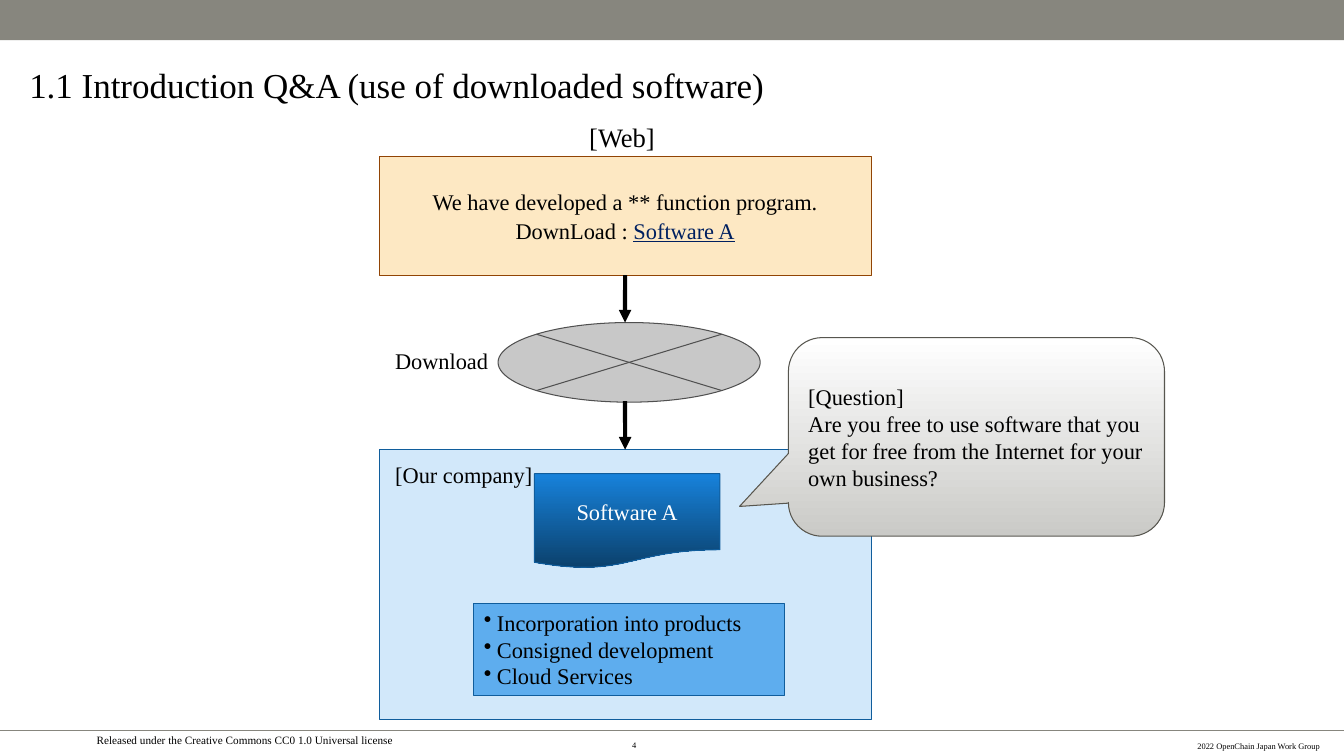
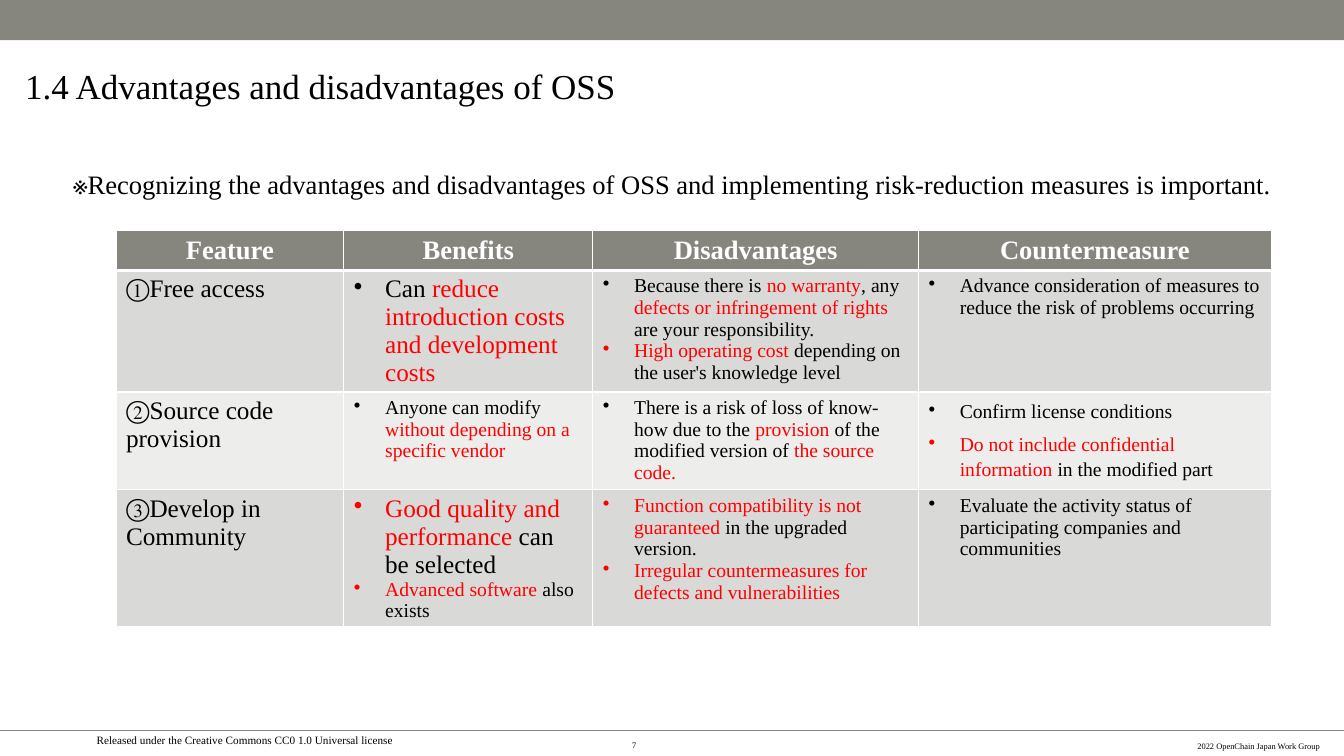
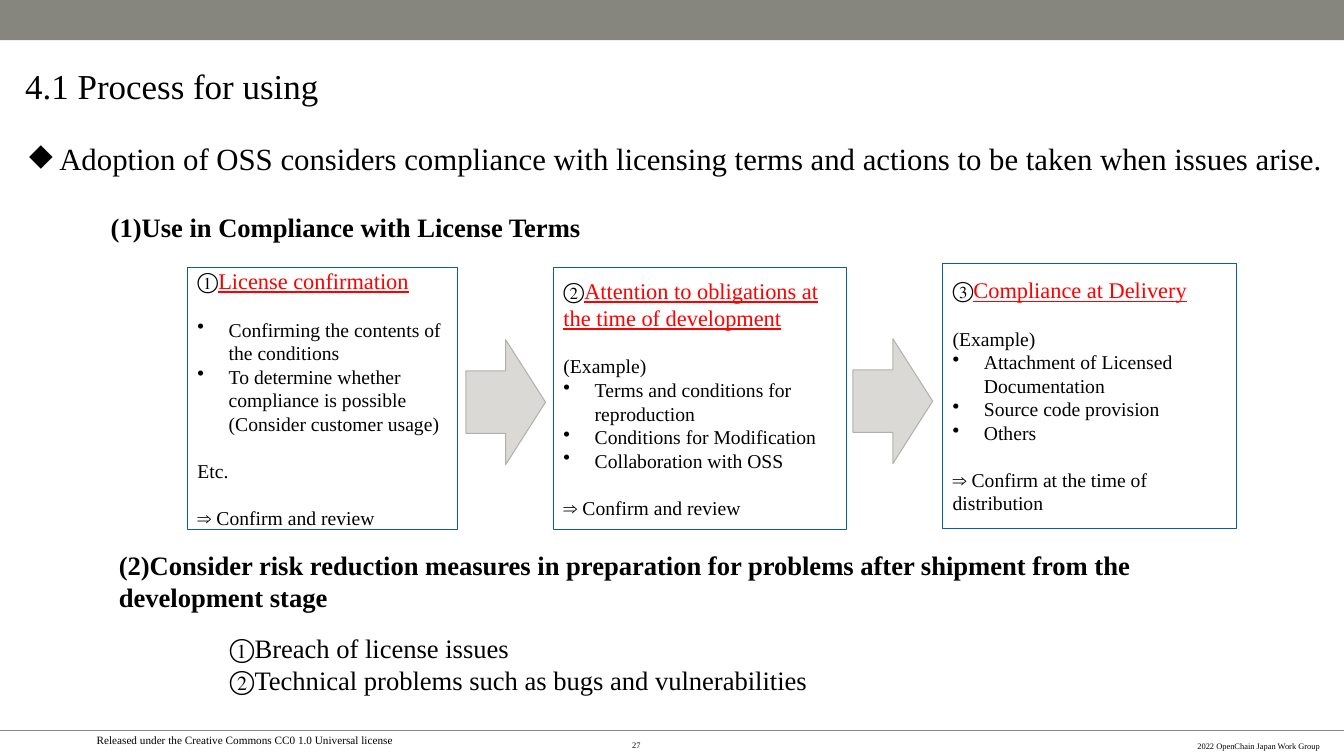
from lxml import etree
from pptx import Presentation
from pptx import util as u
from pptx.dml import color
from pptx.enum import shapes, text
from pptx.oxml import ns

# Shared look
FONT = "Times New Roman"
BLACK, WHITE, RED, NAVY = "000000", "FFFFFF", "FF0000", "002060"
OLIVE, BLUE = "87867E", "105D9C"
BAND = ("D9D9D8", "EDEDEC")
W, H = 13.33, 7.5
RULE_Y = 7.25
LINE_14 = 16.8  # one line of 14 pt text, used as a gap
KIND, ALIGN, ANCHOR = shapes.MSO_SHAPE, text.PP_ALIGN, text.MSO_ANCHOR

LICENSE = "Released under the Creative Commons CC0 1.0 Universal license"
CREDIT = "2022 OpenChain Japan Work Group"

# Content: "|" switches the accent colour on and off inside a paragraph.
# A paragraph is a string or (string, options).
TITLE_AT = (0.25, 0.47, 11.46, 0.76)
PAGES = [
    ("1.1 Introduction Q&A (use of downloaded software)", "4", (0.29, 0.52, 9.61, 0.63)),
    ("1.4 Advantages and disadvantages of OSS", "7", TITLE_AT),
    ("4.1 Process for using", "27", TITLE_AT),
]

USES = ["Incorporation into products", "Consigned development", "Cloud Services"]
QUESTION = [
    "[Question]",
    "Are you free to use software that you get for free from the Internet for your own business?",
]

NOTICE = ("※Recognizing the advantages and disadvantages of OSS and implementing "
          "risk-reduction measures is important.")
HEADERS = ["Feature", "Benefits", "Disadvantages", "Countermeasure"]
BIG = {"size": 18}
FEATURES = [
    (
        ["①Free access"],
        [("Can |reduce introduction costs and development costs", BIG)],
        ["Because there is |no warranty|, any |defects or infringement of rights |"
         "are your responsibility.",
         "|High operating cost |depending on the user's knowledge level"],
        ["Advance consideration of measures to reduce the risk of problems occurring"],
    ),
    (
        ["②Source code provision"],
        ["Anyone can modify |without depending on a specific vendor"],
        ["There is a risk of loss of know-how due to the |provision| of the modified "
         "version of |the source code."],
        [("Confirm license conditions", {"leading": 18}),
         ("|Do not include confidential information |in the modified part",
          {"leading": 18, "before": 6})],
    ),
    (
        ["③Develop in Community"],
        [("|Good quality and performance| can be selected", BIG),
         "|Advanced software |also exists"],
        ["|Function compatibility is not guaranteed |in the upgraded version.",
         "|Irregular countermeasures for defects and vulnerabilities"],
        ["Evaluate the activity status of participating companies and communities"],
    ),
]
COLUMNS = [2.26, 2.47, 3.23, 3.5]
ROWS = [0.39, 1.2, 0.97, 1.36]

ADOPTION = ("Adoption of OSS considers compliance with licensing terms and actions "
            "to be taken when issues arise.")
HEADINGS = [
    ((1, 2.02, 9.14, 0.47), "(1)Use in Compliance with License Terms"),
    ((1.08, 5.42, 11.65, 0.69), "(2)Consider risk reduction measures in preparation for "
                                "problems after shipment from the development stage"),
]
RISKS = ["①Breach of license issues", "②Technical problems such as bugs and vulnerabilities"]
HEAD = {"size": 16}
GAP = {"before": LINE_14}
ITEM = {"bullet": "•"}
STEPS = [
    ((1.86, 2.65, 2.68, 2.6), [
        ("①|License confirmation", HEAD),
        ("Confirming the contents of the conditions", ITEM | GAP),
        ("To determine whether compliance is possible (Consider customer usage)", ITEM),
        ("Etc.", GAP),
        ("⇒ Confirm and review", GAP)]),
    ((5.49, 2.65, 2.91, 2.6), [
        ("②|Attention to obligations at the time of development", HEAD),
        ("(Example)", GAP),
        ("Terms and conditions for reproduction", ITEM),
        ("Conditions for Modification", ITEM),
        ("Collaboration with OSS", ITEM),
        ("⇒ Confirm and review", GAP)]),
    ((9.35, 2.61, 2.91, 2.63), [
        ("③|Compliance at Delivery", HEAD),
        ("(Example)", GAP),
        ("Attachment of Licensed Documentation", ITEM),
        ("Source code provision", ITEM),
        ("Others", ITEM),
        ("⇒ Confirm at the time of distribution", GAP)]),
]
STEP_ARROWS = [(4.62, 3.37), (8.46, 3.36)]


# Helpers
def rgb(value):
    return color.RGBColor.from_string(value)


def inches(values):
    return [u.Inches(v) for v in values]


def add_bullet(p, char, indent):
    pPr = p._p.get_or_add_pPr()
    pPr.set("marL", str(u.Inches(indent)))
    pPr.set("indent", str(-u.Inches(indent)))
    etree.SubElement(pPr, ns.qn("a:buChar")).set("char", char)


def write(tf, paras, **defaults):
    """Fill a text frame; paragraph options override the defaults."""
    for i, para in enumerate(paras):
        words, own = (para, {}) if isinstance(para, str) else para
        o = defaults | own
        p = tf.paragraphs[0] if i == 0 else tf.add_paragraph()
        p.alignment = o.get("align", ALIGN.LEFT)
        if o.get("bullet"):
            add_bullet(p, o["bullet"], o.get("indent", 0.31))
        if i and "before" in o:
            p.space_before = u.Pt(o["before"])
        if "leading" in o:
            p.line_spacing = u.Pt(o["leading"])
        for j, part in enumerate(words.split("|")):
            if not part:
                continue
            accent = j % 2 == 1
            r = p.add_run()
            r.text = part
            r.font.name = FONT
            r.font.size = u.Pt(o["size"])
            r.font.bold = o.get("bold", False)
            r.font.color.rgb = rgb(o.get("accent", RED) if accent else o.get("ink", BLACK))
            if accent and o.get("underline"):
                r.font.underline = True


def set_frame(tf, anchor=ANCHOR.MIDDLE, wrap=True, inset=True):
    tf.auto_size = text.MSO_AUTO_SIZE.NONE
    tf.word_wrap = wrap
    tf.vertical_anchor = anchor
    if not inset:
        tf.margin_left = tf.margin_right = tf.margin_top = tf.margin_bottom = 0


def add_label(s, at, paras, anchor=ANCHOR.MIDDLE, wrap=True, inset=True, **style):
    sp = s.shapes.add_textbox(*inches(at))
    set_frame(sp.text_frame, anchor, wrap, inset)
    write(sp.text_frame, paras, **style)
    return sp


def add_box(s, kind, at, fill=None, line=None, paras=(), anchor=ANCHOR.MIDDLE, **style):
    """Preset shape; fill is a colour or a (top, bottom) gradient pair."""
    sp = s.shapes.add_shape(kind, *inches(at))
    sp.shadow.inherit = False
    if fill is None:
        sp.fill.background()
    elif isinstance(fill, str):
        sp.fill.solid()
        sp.fill.fore_color.rgb = rgb(fill)
    else:
        sp.fill.gradient()
        sp.fill.gradient_angle = 270
        for stop, position, value in zip(sp.fill.gradient_stops, (0, 1), fill):
            stop.position = position
            stop.color.rgb = rgb(value)
    if line:
        sp.line.color.rgb = rgb(line)
        sp.line.width = u.Pt(0.75)
    else:
        sp.line.fill.background()
    set_frame(sp.text_frame, anchor)
    write(sp.text_frame, paras, **style)
    return sp


def add_line(s, start, end, ink, width, arrow=False):
    c = s.shapes.add_connector(shapes.MSO_CONNECTOR.STRAIGHT, *inches(start + end))
    c.line.color.rgb = rgb(ink)
    c.line.width = u.Pt(width)
    if arrow:
        etree.SubElement(c.line._get_or_add_ln(), ns.qn("a:tailEnd")).set("type", "triangle")
    etree.SubElement(c._element.spPr, ns.qn("a:effectLst"))
    return c


def add_borders(cell, widths):
    tcPr = cell._tc.get_or_add_tcPr()
    for side, width in zip("LRTB", widths):
        ln = etree.SubElement(tcPr, ns.qn("a:ln" + side), w=str(u.Pt(width)))
        fill = etree.SubElement(ln, ns.qn("a:solidFill"))
        etree.SubElement(fill, ns.qn("a:srgbClr")).set("val", WHITE)


def dress_layout(layout, s):
    """Build the band, rule and footers on s, then move them to the layout."""
    for ph in list(layout.placeholders):
        if ph.placeholder_format.type != shapes.PP_PLACEHOLDER.TITLE:
            ph.element.getparent().remove(ph.element)
    shared = [
        add_line(s, (0, RULE_Y), (W, RULE_Y), OLIVE, 1),
        add_box(s, KIND.RECTANGLE, (0, 0, W, 0.4), OLIVE),
        add_label(s, (0.03, 7.23, 4.8, 0.27), [LICENSE], ANCHOR.TOP,
                  size=8, align=ALIGN.CENTER),
        add_label(s, (7.22, 7.29, 5.87, 0.22), [CREDIT], inset=False,
                  size=6, align=ALIGN.RIGHT),
    ]
    for sp in shared:
        layout.shapes.element.append(sp._element)


def add_page(prs, layout, title, number, at):
    s = prs.slides.add_slide(layout)
    if len(prs.slides) == 1:
        dress_layout(layout, s)
    ph = s.shapes.title
    ph.left, ph.top, ph.width, ph.height = inches(at)
    set_frame(ph.text_frame, inset=False)
    write(ph.text_frame, [title], size=25)
    add_label(s, (6.27, 7.28, 0.79, 0.22), [number], inset=False, size=6)
    return s


# Slides
def draw_download(s):
    left, width = 3.76, 4.88
    mid = left + width / 2
    company = add_box(s, KIND.RECTANGLE, (left, 4.46, width, 2.68), "D2E8FA", BLUE)
    web = add_box(s, KIND.RECTANGLE, (left, 1.55, width, 1.18), "FDE8C3", "914405",
                  ["We have developed a ** function program.", "DownLoad : |Software A"],
                  size=16, align=ALIGN.CENTER, before=1.6, accent=NAVY, underline=True)
    add_box(s, KIND.FLOWCHART_SUMMING_JUNCTION, (4.94, 3.2, 2.6, 0.79), "C8C8C8", "505050")
    add_line(s, (mid, 2.73), (mid, 3.2), BLACK, 3, True).begin_connect(web, 2)
    add_line(s, (mid, 3.98), (mid, 4.46), BLACK, 3, True).end_connect(company, 0)
    add_box(s, KIND.FLOWCHART_DOCUMENT, (5.3, 4.7, 1.84, 0.94), ("1782DB", "0B406B"), BLUE,
            ["Software A"], size=16, ink=WHITE, align=ALIGN.CENTER)
    add_label(s, (2.74, 3.39, 2.2, 0.43), ["Download"], ANCHOR.TOP, size=16, align=ALIGN.RIGHT)
    add_label(s, (3.81, 4.53, 1.58, 0.37), ["[Our company]"], ANCHOR.TOP, wrap=False,
              size=16, align=ALIGN.CENTER)
    add_label(s, (5.74, 1.15, 0.86, 0.42), ["[Web]"], ANCHOR.TOP, wrap=False,
              size=19, align=ALIGN.CENTER)
    callout = add_box(s, KIND.ROUNDED_RECTANGULAR_CALLOUT, (7.82, 3.35, 3.73, 1.97),
                      (WHITE, "CACAC7"), "57564F", QUESTION, size=16)
    for i, value in enumerate((-0.63, 0.35, 0.17)):
        callout.adjustments[i] = value
    add_box(s, KIND.RECTANGLE, (4.7, 5.99, 3.08, 0.91), "5EADEE", BLUE, USES, ANCHOR.TOP,
            size=16, bullet="•", indent=0.13)


def draw_features(s):
    add_label(s, (1.9, 1.57, 9.53, 0.5), [NOTICE], wrap=False, size=19, align=ALIGN.CENTER)
    at = (1.15, 2.29, sum(COLUMNS), sum(ROWS))
    table = s.shapes.add_table(len(ROWS), len(COLUMNS), *inches(at)).table
    table.horz_banding = False
    for column, width in zip(table.columns, COLUMNS):
        column.width = u.Inches(width)
    for row, height in zip(table.rows, ROWS):
        row.height = u.Inches(height)
    for i, row in enumerate([[[h] for h in HEADERS]] + FEATURES):
        for j, paras in enumerate(row):
            cell = table.cell(i, j)
            add_borders(cell, (1, 1, 3 if i == 1 else 1, 3 if i == 0 else 1))
            cell.fill.solid()
            cell.fill.fore_color.rgb = rgb(OLIVE if i == 0 else BAND[(i - 1) % 2])
            if i == 0:
                style = dict(size=19, bold=True, ink=WHITE, align=ALIGN.CENTER)
            elif j == 0:
                style = BIG
            else:
                style = {"size": 14} | ITEM
            write(cell.text_frame, paras, **style)


def draw_process(s):
    add_label(s, (0.19, 1.27, 12.96, 0.59), [ADOPTION], wrap=False,
              size=22, bullet="◆", indent=0.3)
    for at, heading in HEADINGS:
        add_label(s, at, [heading], size=19, bold=True)
    for at, paras in STEPS:
        add_box(s, KIND.RECTANGLE, at, WHITE, BLUE, paras, size=14, underline=True)
    for at in STEP_ARROWS:
        add_box(s, KIND.RIGHT_ARROW, at + (0.79, 1.24), "DAD9D6", "B1B1AC")
    add_label(s, (2.18, 6.2, 9.61, 0.78), RISKS, size=19)


def main():
    prs = Presentation()
    prs.slide_width, prs.slide_height = inches((W, H))
    layout = prs.slide_layouts[5]
    for page, draw in zip(PAGES, (draw_download, draw_features, draw_process)):
        draw(add_page(prs, layout, *page))
    prs.save("out.pptx")


if __name__ == "__main__":
    main()
